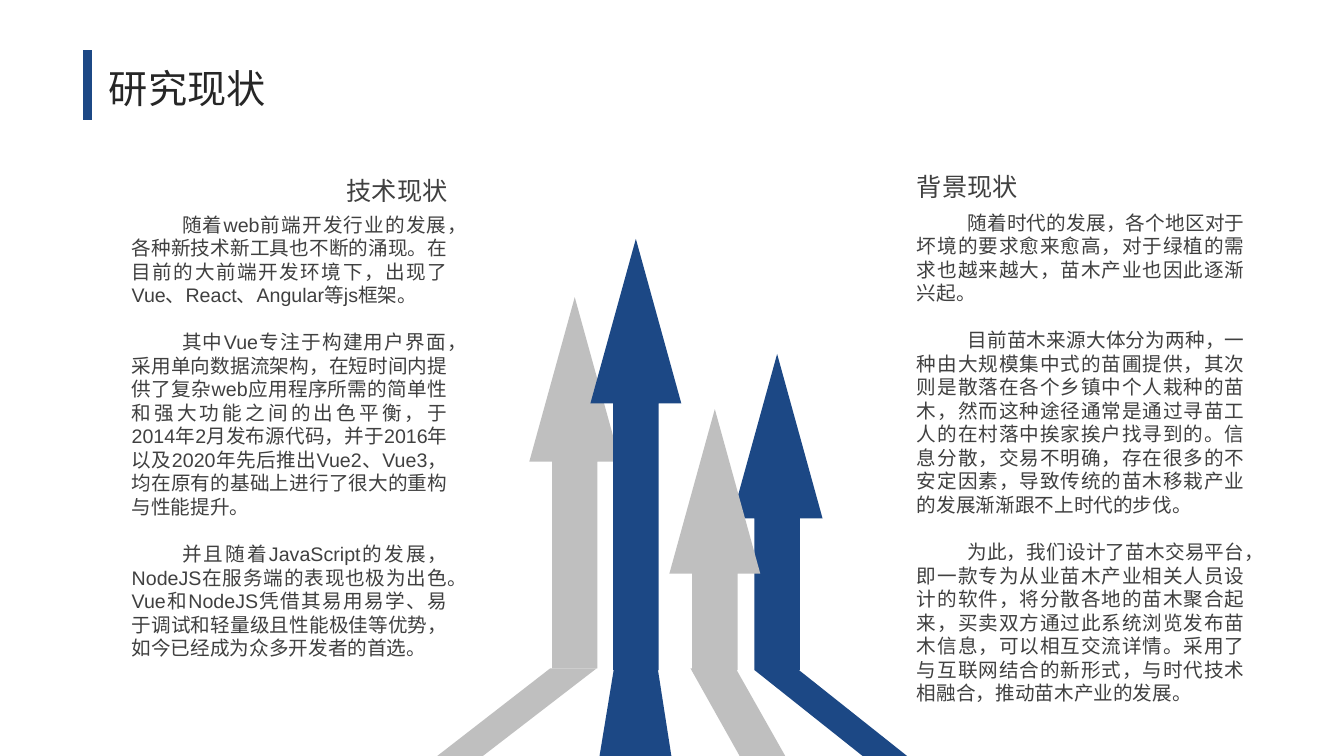
from pptx import Presentation
from pptx.dml.color import RGBColor
from pptx.enum import shapes, text
from pptx.oxml import ns
from pptx.util import Cm, Pt
from lxml import etree

BLUE = RGBColor(0x1C, 0x48, 0x85)
SILVER = RGBColor(0xBF, 0xBF, 0xBF)
INK = RGBColor(0x26, 0x26, 0x26)
BODY = RGBColor(0x40, 0x40, 0x40)
FONT = "Arial"
WIDTH, HEIGHT = 33.87, 19.05

TITLE = "研究现状"
TITLE_BOX = (2.49, 1.27, 7.9, 1.75)
ACCENT_X = 2.21

COLUMNS = [
    {
        "heading": "技术现状",
        "heading_box": (5.36, 4.29, 6.17, 1.02),
        "heading_align": text.PP_ALIGN.RIGHT,
        "body_box": (3.07, 5.23, 8.46, 11.63),
        "body": [
            "随着web前端开发行业的发展，各种新技术新工具也不断的涌现。在目前的大前端开发环境下，出现了Vue、React、Angular等js框架。",
            "其中Vue专注于构建用户界面，采用单向数据流架构，在短时间内提供了复杂web应用程序所需的简单性和强大功能之间的出色平衡，于2014年2月发布源代码，并于2016年以及2020年先后推出Vue2、Vue3，均在原有的基础上进行了很大的重构与性能提升。",
            "并且随着JavaScript的发展，NodeJS在服务端的表现也极为出色。Vue和NodeJS凭借其易用易学、易于调试和轻量级且性能极佳等优势，如今已经成为众多开发者的首选。",
        ],
    },
    {
        "heading": "背景现状",
        "heading_box": (22.86, 4.19, 6.17, 1.02),
        "heading_align": text.PP_ALIGN.LEFT,
        "body_box": (22.86, 5.18, 8.76, 12.83),
        "body": [
            "随着时代的发展，各个地区对于坏境的要求愈来愈高，对于绿植的需求也越来越大，苗木产业也因此逐渐兴起。",
            "目前苗木来源大体分为两种，一种由大规模集中式的苗圃提供，其次则是散落在各个乡镇中个人栽种的苗木，然而这种途径通常是通过寻苗工人的在村落中挨家挨户找寻到的。信息分散，交易不明确，存在很多的不安定因素，导致传统的苗木移栽产业的发展渐渐跟不上时代的步伐。",
            "为此，我们设计了苗木交易平台，即一款专为从业苗木产业相关人员设计的软件，将分散各地的苗木聚合起来，买卖双方通过此系统浏览发布苗木信息，可以相互交流详情。采用了与互联网结合的新形式，与时代技术相融合，推动苗木产业的发展。",
        ],
    },
]

ARROW_WIDTH = 2.29
ARROWS = [
    (13.34, 7.49, 16.84, SILVER),
    (18.44, 8.92, 16.89, BLUE),
    (16.87, 10.31, 16.89, SILVER),
    (14.88, 6.02, 16.89, BLUE),
]
ROOTS = [
    (16.84, (13.87, 15.04), (11.02, 12.17), SILVER),
    (16.89, (19.02, 20.14), (21.74, 22.86), BLUE),
    (16.74, (15.49, 16.56), (15.11, 16.92), BLUE),
    (16.84, (17.4, 18.54), (18.64, 19.79), SILVER),
]


def write(frame, paragraphs, size, color=BODY, align=text.PP_ALIGN.LEFT,
          anchor=text.MSO_ANCHOR.TOP, spacing=None, indent=0, gap=0):
    """Fill a text frame with evenly formatted paragraphs."""
    frame.word_wrap = True
    frame.auto_size = text.MSO_AUTO_SIZE.NONE
    frame.vertical_anchor = anchor
    for index, words in enumerate(paragraphs):
        paragraph = frame.add_paragraph() if index else frame.paragraphs[0]
        paragraph.text = words
        paragraph.alignment = align
        paragraph.space_before = Pt(gap if index else 0)
        if spacing:
            paragraph.line_spacing = spacing
        if indent:
            properties = paragraph._p.get_or_add_pPr()
            properties.set("marL", "0")
            properties.set("indent", str(Cm(indent)))
        paragraph.font.name = FONT
        paragraph.font.size = Pt(size)
        paragraph.font.color.rgb = color


def paint(shape, color):
    """Give a shape a flat fill without outline or shadow."""
    shape.shadow.inherit = False
    shape.fill.solid()
    shape.fill.fore_color.rgb = color
    shape.line.fill.background()


def main():
    """Build the research status slide."""
    deck = Presentation()
    deck.slide_width, deck.slide_height = Cm(WIDTH), Cm(HEIGHT)
    slide = deck.slides.add_slide(deck.slide_layouts[5])
    canvas = slide.shapes

    title = canvas.title
    title.left, title.top, title.width, title.height = map(Cm, TITLE_BOX)
    write(title.text_frame, [TITLE], 28, color=INK, spacing=1.1,
          anchor=text.MSO_ANCHOR.MIDDLE)

    top, height = TITLE_BOX[1], TITLE_BOX[3]
    accent = canvas.add_connector(shapes.MSO_CONNECTOR.STRAIGHT, Cm(ACCENT_X),
                                  Cm(top), Cm(ACCENT_X), Cm(top + height))
    accent.line.color.rgb = BLUE
    accent.line.width = Pt(6)
    etree.SubElement(accent._element.spPr, ns.qn("a:effectLst"))

    for left, tip, base, color in ARROWS:
        arrow = canvas.add_shape(shapes.MSO_SHAPE.UP_ARROW, Cm(left), Cm(tip),
                                 Cm(ARROW_WIDTH), Cm(base - tip))
        arrow.adjustments[0] = 0.5
        arrow.adjustments[1] = 1.81
        paint(arrow, color)

    for start, upper, lower, color in ROOTS:
        outline = canvas.build_freeform(Cm(upper[0]), Cm(start))
        outline.add_line_segments([
            (Cm(upper[1]), Cm(start)),
            (Cm(lower[1]), Cm(HEIGHT)),
            (Cm(lower[0]), Cm(HEIGHT)),
        ], close=True)
        paint(outline.convert_to_shape(), color)

    for column in COLUMNS:
        heading = canvas.add_textbox(*map(Cm, column["heading_box"]))
        write(heading.text_frame, [column["heading"]], 18,
              align=column["heading_align"])
        body = canvas.add_textbox(*map(Cm, column["body_box"]))
        write(body.text_frame, column["body"], 14, indent=1.27, gap=16.8,
              align=text.PP_ALIGN.JUSTIFY)

    deck.save("out.pptx")


if __name__ == "__main__":
    main()
